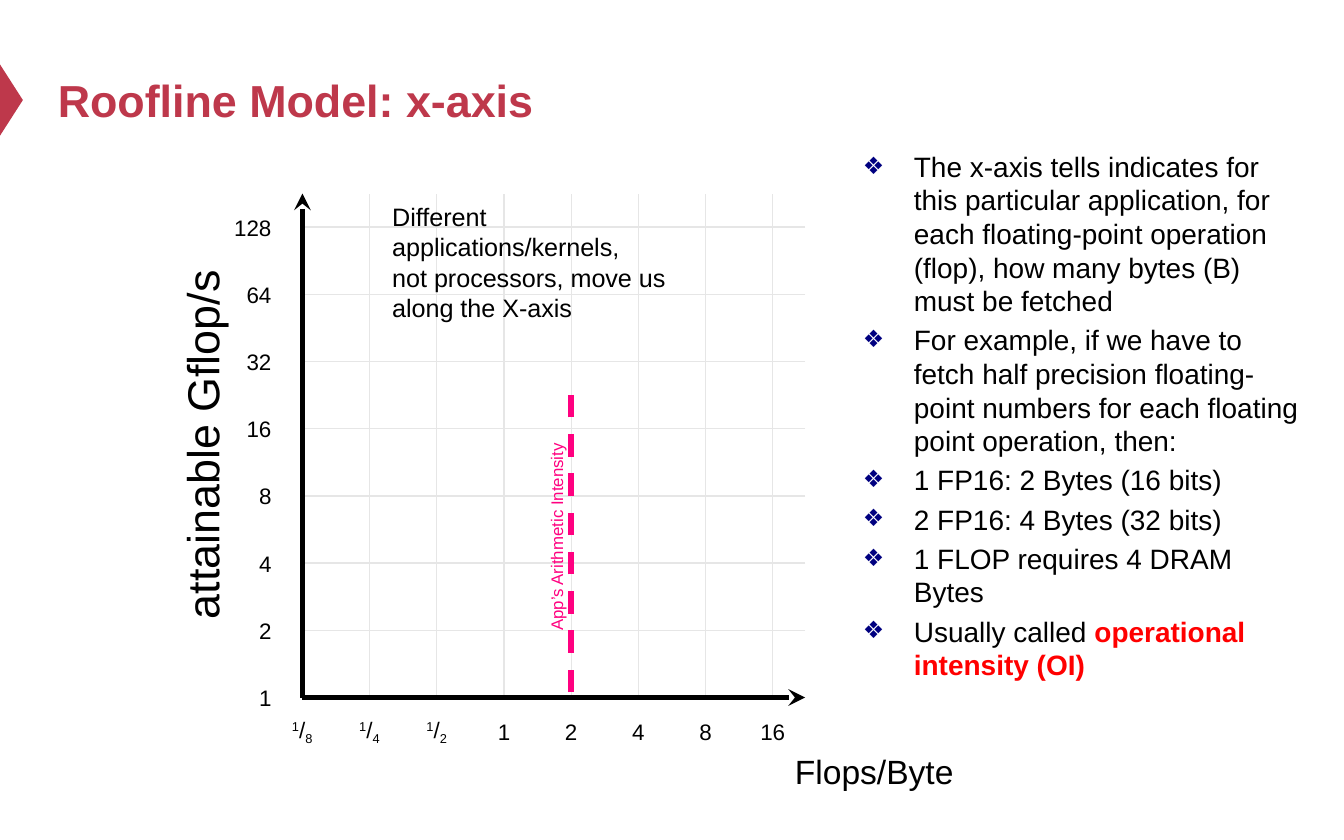
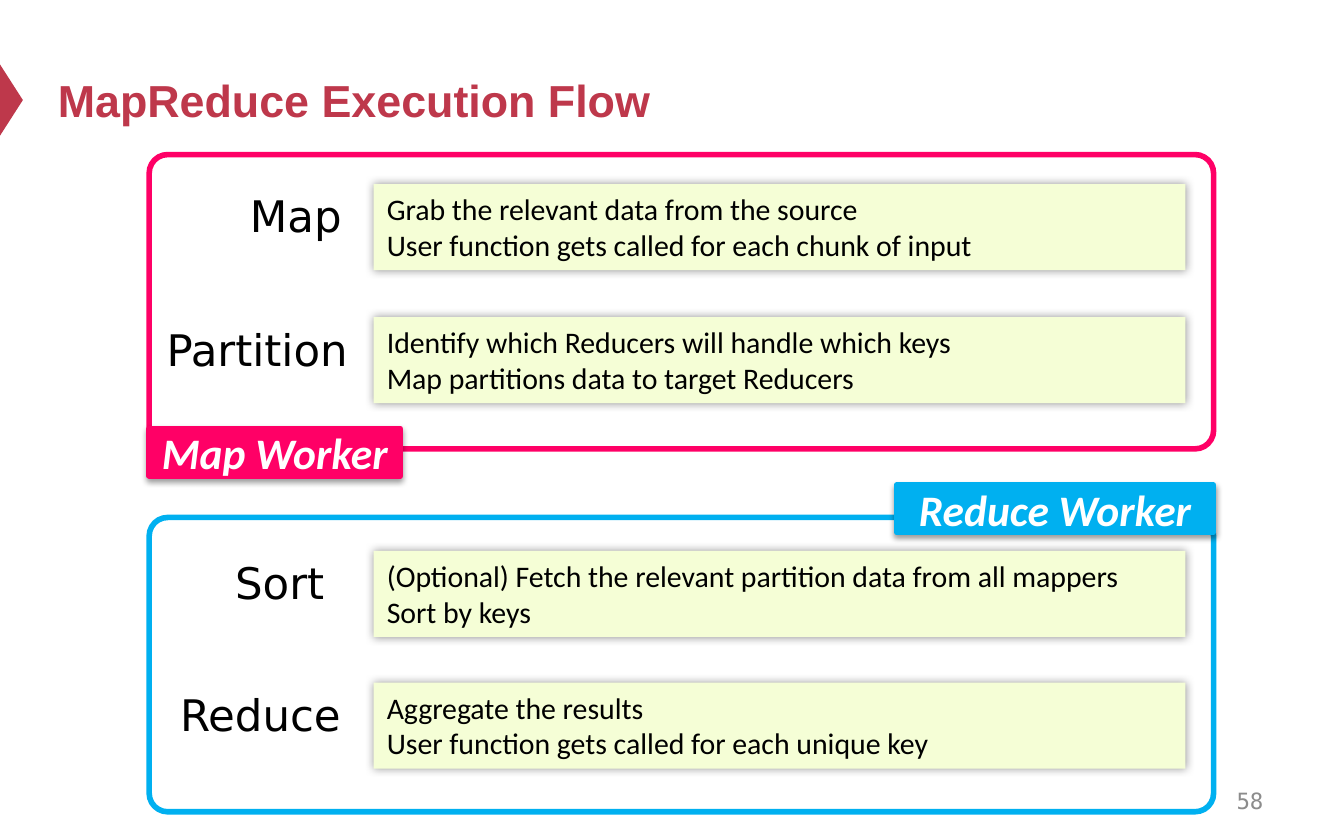
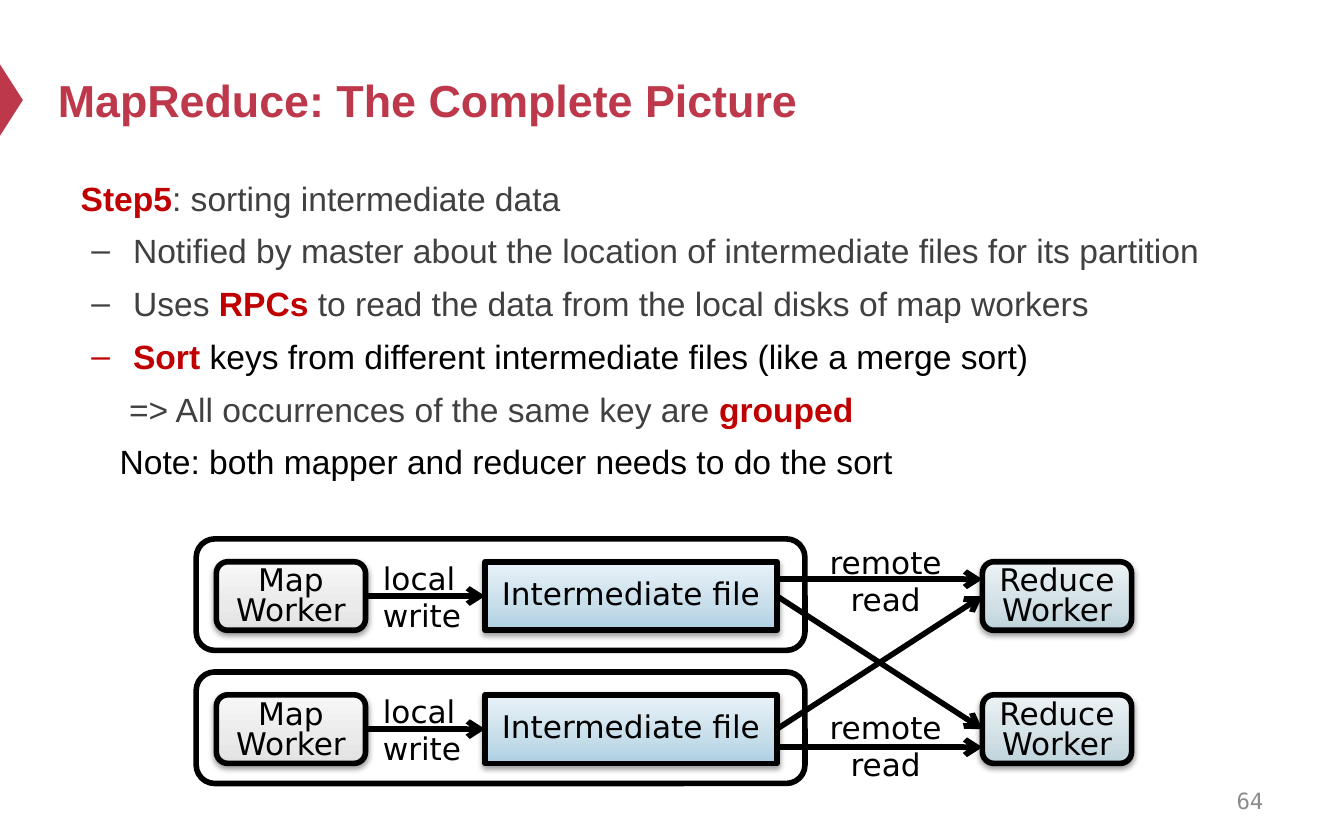
from pptx import Presentation
from pptx import oxml
from pptx import util as u
from pptx.dml.color import RGBColor
from pptx.enum import dml, shapes, text
from pptx.oxml import ns

CRIMSON, BLACK, WHITE = "BE384B", "000000", "FFFFFF"
GRID, MAGENTA, NAVY, RED = "E6E6E6", "FF0080", "000080", "FF0000"
PINK, SKY, CREAM, PAGE_GREY = "FF0066", "00B0F0", "F5FED6", "8C8C8C"
DARK_RED, DARK_GREY = "C00000", "404040"
FILE_STOPS = ("ADD0E3", "C6DDEA", "E9F2F8")
MAP_STOPS = ("E2E2E2", "EAEAEA", "F7F7F7")
REDUCE_STOPS = ("BDD3DB", "D1DFE5", "EDF3F5")
DROP_SHADOW = (38, 3.1, 1.6, 90)
GLOW_SHADOW = (40, 5, 0, 0)
NO_INSETS = (0, 0, 0, 0)
NARROW_INSETS = (0.08, 0.04, 0.08, 0.04)
SANS = "DejaVu Sans"
LEFT, CENTER, RIGHT = text.PP_ALIGN.LEFT, text.PP_ALIGN.CENTER, text.PP_ALIGN.RIGHT
TOP, MIDDLE = text.MSO_ANCHOR.TOP, text.MSO_ANCHOR.MIDDLE
RECT, ROUND = shapes.MSO_SHAPE.RECTANGLE, shapes.MSO_SHAPE.ROUNDED_RECTANGLE


def rgb(value):
    return RGBColor.from_string(value)


def lengths(*values):
    return [u.Inches(value) for value in values]


def xml(tag, content="", **attributes):
    listed = " ".join(f'{key}="{value}"' for key, value in attributes.items())
    return oxml.parse_xml(f'<a:{tag} {ns.nsdecls("a")} {listed}>{content}</a:{tag}>')


def write(holder, *paragraphs, size, color=BLACK, font="Arial", bold=False, italic=False,
          align=LEFT, anchor=TOP, insets=(0.1, 0.05, 0.1, 0.05), wrap=True, grow=False,
          spacing=None, before=0):
    frame = holder.text_frame
    frame.word_wrap = wrap
    frame.auto_size = text.MSO_AUTO_SIZE.SHAPE_TO_FIT_TEXT if grow else text.MSO_AUTO_SIZE.NONE
    frame.vertical_anchor = anchor
    (frame.margin_left, frame.margin_top,
     frame.margin_right, frame.margin_bottom) = lengths(*insets)
    for index, content in enumerate(paragraphs):
        paragraph = frame.add_paragraph() if index else frame.paragraphs[0]
        paragraph.alignment = align
        paragraph.space_before = u.Pt(before if index else 0)
        if spacing:
            paragraph.line_spacing = spacing
        for words, change in [(content, {})] if isinstance(content, str) else content:
            for row, part in enumerate(words.split("\n")):
                if row:
                    paragraph.add_line_break()
                run = paragraph.add_run()
                run.text = part
                run.font.name = font
                run.font.size = u.Pt(size)
                run.font.bold = change.get("bold", bold)
                run.font.italic = italic
                run.font.color.rgb = rgb(change.get("color", color))
                if "baseline" in change:
                    run._r.get_or_add_rPr().set("baseline", str(change["baseline"] * 1000))
    return holder


def indent(paragraph, left, first=0, bullet=None, color=None, scale=None):
    properties = paragraph._p.get_or_add_pPr()
    properties.set("marL", str(u.Inches(left)))
    properties.set("indent", str(u.Inches(first)))
    if color:
        properties.append(xml("buClr", f'<a:srgbClr val="{color}"/>'))
    if scale:
        properties.append(xml("buSzPct", val=scale * 1000))
    properties.append(xml("buChar", char=bullet) if bullet else xml("buNone"))


def place(holder, left, top, width, height):
    holder.left, holder.top, holder.width, holder.height = lengths(left, top, width, height)
    return holder


def add_label(canvas, at, *paragraphs, turn=0, **style):
    label = canvas.add_textbox(*lengths(*at))
    label.rotation = turn
    return write(label, *paragraphs, **style)


def add_box(canvas, kind, at, fill=None, line=None, shadow=None, corner=None):
    box = canvas.add_shape(kind, *lengths(*at))
    box.shadow.inherit = False
    properties = box.element.spPr
    if fill is None:
        box.fill.background()
    else:
        box.fill.solid()
        if isinstance(fill, str):
            box.fill.fore_color.rgb = rgb(fill)
        else:
            stops = "".join(f'<a:gs pos="{spot}000"><a:srgbClr val="{shade}"/></a:gs>'
                            for spot, shade in zip((0, 35, 100), fill))
            gradient = xml("gradFill", f'<a:gsLst>{stops}</a:gsLst><a:lin ang="16200000" scaled="0"/>')
            properties.replace(properties.find(ns.qn("a:solidFill")), gradient)
    if line:
        box.line.color.rgb = rgb(line)
        box.line.width = u.Pt(3)
    else:
        box.line.fill.background()
    if shadow:
        alpha, blur, distance, angle = shadow
        properties.find(ns.qn("a:effectLst")).append(xml(
            "outerShdw", f'<a:srgbClr val="{BLACK}"><a:alpha val="{alpha}000"/></a:srgbClr>',
            blurRad=u.Pt(blur), dist=u.Pt(distance), dir=angle * 60000, rotWithShape=0))
    if corner is not None:
        box.adjustments[0] = corner
    return box


def add_line(canvas, start, end, color=BLACK, width=3, head=None, dash=None):
    line = canvas.add_connector(shapes.MSO_CONNECTOR.STRAIGHT, *lengths(*start, *end))
    line.line.color.rgb = rgb(color)
    line.line.width = u.Pt(width)
    if dash:
        line.line.dash_style = dash
    if head:
        line.line._get_or_add_ln().append(xml("tailEnd", type=head))
    line.element.spPr.append(xml("effectLst"))
    return line


def join(canvas, source, target):
    arrow = add_line(canvas, (0, 0), (1, 1), head="arrow")
    arrow.begin_connect(source, 3)
    arrow.end_connect(target, 1)


def add_marker(prs, slide):
    marker = add_box(slide.shapes, shapes.MSO_SHAPE.ISOSCELES_TRIANGLE,
                     (-0.18, 0.66, 0.53, 0.17), fill=CRIMSON)
    marker.rotation = 90
    marker.element.nvSpPr.cNvPr.set("id", "20")
    prs.slide_master.shapes.element.append(marker.element)


def add_slide(prs, title, layout, page=None):
    slide = prs.slides.add_slide(prs.slide_layouts[layout])
    write(place(slide.shapes.title, 0.33, 0.25, 9, 0.98), title,
          size=24, color=CRIMSON, bold=True, anchor=MIDDLE)
    if page:
        add_label(slide.shapes, (7.17, 5.79, 2.33, 0.33), page, size=12,
                  font="DejaVu Sans Mono", color=PAGE_GREY, align=RIGHT, anchor=MIDDLE)
    return slide


def fraction(denominator):
    return [("1", {"baseline": 30}), ("/", {}), (denominator, {"baseline": -25})]


def build_roofline(prs):
    slide = add_slide(prs, "Roofline Model: x-axis", 1)
    add_marker(prs, slide)
    canvas = slide.shapes
    left, right, top, bottom, step = 2.25, 5.99, 1.44, 5.19, 0.5
    for index in range(1, 8):
        offset = index * step
        add_line(canvas, (left + offset, bottom), (left + offset, top), GRID, 0.75)
        add_line(canvas, (right, bottom - offset), (left, bottom - offset), GRID, 0.75)
    add_line(canvas, (left, bottom), (right, bottom), head="stealth")
    add_line(canvas, (left, bottom), (left, top), head="stealth")

    plain = dict(anchor=MIDDLE, insets=NO_INSETS)
    intensities = [fraction("8"), fraction("4"), fraction("2"), "1", "2", "4", "8", "16"]
    for index, intensity in enumerate(intensities):
        add_label(canvas, (2 + index * step, bottom, 0.5, 0.5), intensity,
                  size=12, align=CENTER, **plain)
        add_label(canvas, (1.27, 4.94 - index * step, 0.75, 0.5), str(2 ** index),
                  size=12, align=RIGHT, **plain)
    add_label(canvas, (4.88, 5.61, 3.25, 0.25), "Flops/Byte", size=18, align=CENTER, **plain)
    add_label(canvas, (-0.37, 3.06, 3.74, 0.5), "attainable Gflop/s", turn=270,
              size=24, align=CENTER, **plain)
    add_label(canvas, (2.82, 1.45, 2.42, 1.01), "Different applications/kernels,",
              "not processors, move us along the X-axis", size=13.5, grow=True)

    intensity_mark = canvas.add_group_shape().shapes
    add_line(intensity_mark, (4.25, 5.15), (4.25, 2.84), MAGENTA, dash=dml.MSO_LINE.DASH)
    add_label(intensity_mark, (2.98, 3.9, 2.32, 0.19), "App’s Arithmetic Intensity", turn=270,
              size=9, color=MAGENTA, align=CENTER, wrap=False, **plain)

    notes = write(
        place(slide.placeholders[1], 6.35, 1.07, 3.46, 4.13),
        "The x-axis tells indicates for this particular application, for each "
        "floating-point operation (flop), how many bytes (B) must be fetched",
        "For example, if we have to fetch half precision floating-point numbers "
        "for each floating point operation, then:",
        "1 FP16: 2 Bytes (16 bits)",
        "2 FP16: 4 Bytes (32 bits)",
        "1 FLOP requires 4 DRAM Bytes",
        [("Usually called ", {}), ("operational intensity (OI)", {"color": RED, "bold": True})],
        size=15, before=3, insets=(0.07, 0.04, 0.07, 0.04))
    for paragraph in notes.text_frame.paragraphs:
        indent(paragraph, 0.38, -0.38, "❖", NAVY, 85)


def add_stage(slide, top, name, margin, *details):
    canvas = slide.shapes.add_group_shape().shapes
    label = add_label(canvas, (1.11, top, 7.71, 0.76), name, size=23.3, font=SANS,
                      insets=NARROW_INSETS)
    indent(label.text_frame.paragraphs[0], margin)
    write(add_box(canvas, RECT, (2.78, top, 6.04, 0.64), CREAM, shadow=GLOW_SHADOW),
          *details, size=16, font="Calibri", grow=True)


def add_worker_frame(canvas, top, color, name, tag_at):
    add_box(canvas, ROUND, (1.11, top, 7.92, 2.19), line=color, corner=0.063)
    write(add_box(canvas, RECT, tag_at, color, color, DROP_SHADOW), name, size=23.3,
          font="Calibri", color=WHITE, bold=True, italic=True,
          align=CENTER, anchor=MIDDLE, wrap=False)


def build_execution_flow(prs):
    slide = add_slide(prs, "MapReduce Execution Flow", 5, "58")
    add_worker_frame(slide.shapes, 1.15, PINK, "Map Worker", (1.11, 3.19, 1.87, 0.35))
    add_worker_frame(slide.shapes, 3.85, SKY, "Reduce Worker", (6.67, 3.61, 2.36, 0.35))
    add_stage(slide, 1.37, "Map", 0.67, "Grab the relevant data from the source",
              "User function gets called for each chunk of input")
    add_stage(slide, 2.36, "Partition", 0.05, "Identify which Reducers will handle which keys",
              "Map partitions data to target Reducers")
    add_stage(slide, 4.1, "Sort", 0.56,
              "(Optional) Fetch the relevant partition data from all mappers", "Sort by keys")
    add_stage(slide, 5.08, "Reduce", 0.15, "Aggregate the results",
              "User function gets called for each unique key")


def add_node(canvas, kind, at, name, stops, **style):
    node = add_box(canvas, kind, at, stops, BLACK, DROP_SHADOW)
    return write(node, name, size=16.7, font=SANS, align=CENTER, anchor=MIDDLE,
                 spacing=0.8, **style)


def add_worker(canvas, left, top, name, stops):
    return add_node(canvas, ROUND, (left, top, 1.11, 0.51), name, stops,
                    insets=(0.08, 0.03, 0.08, 0), wrap=False)


def build_complete_picture(prs):
    slide = add_slide(prs, "MapReduce: The Complete Picture", 1, "64")
    canvas = slide.shapes
    strong, black = {"color": DARK_RED, "bold": True}, {"color": BLACK}
    steps = write(
        place(slide.placeholders[1], 0.5, 1.24, 9, 2.47),
        [("Step5", strong), (": sorting intermediate data", {})],
        "Notified by master about the location of intermediate files for its partition",
        [("Uses ", {}), ("RPCs", strong),
         (" to read the data from the local disks of map workers", {})],
        [("Sort", strong), (" keys from different intermediate files (like a merge sort)", black)],
        [("=> All occurrences of the same key are ", {}), ("grouped", strong)],
        [("Note: both mapper and reducer needs to do the sort", black)],
        size=18, color=DARK_GREY, spacing=1.1, before=4.5)
    dash = (0.39, -0.31, "–")
    layout = [(0,), dash, dash, dash, (0.36,), (0.29,)]
    for index, (paragraph, settings) in enumerate(zip(steps.text_frame.paragraphs, layout)):
        paragraph.level = min(index, 1)
        indent(paragraph, *settings)

    files, reducers = [], []
    for top, read_top in ((4.18, 3.99), (5.17, 5.22)):
        add_box(canvas, ROUND, (1.46, top - 0.17, 4.53, 0.83), line=BLACK)
        mapper = add_worker(canvas, 1.61, top, "Map\nWorker", MAP_STOPS)
        files.append(add_node(canvas, RECT, (3.61, top, 2.17, 0.51),
                              "Intermediate file", FILE_STOPS))
        reducers.append(add_worker(canvas, 7.31, top, "Reduce\nWorker", REDUCE_STOPS))
        join(canvas, mapper, files[-1])
        caption = dict(size=16.7, font=SANS, wrap=False, grow=True)
        add_label(canvas, (2.75, top - 0.07, 0.79, 0.66), "local\nwrite", **caption)
        add_label(canvas, (6.07, read_top, 1.04, 0.66), "remote\nread", align=CENTER, **caption)
    for height in (4.31, 5.56):
        add_line(canvas, (5.78, height), (7.31, height), head="arrow")
    for source, target in zip(files, reversed(reducers)):
        join(canvas, source, target)


def main():
    prs = Presentation()
    prs.slide_width, prs.slide_height = lengths(10, 6.25)
    build_roofline(prs)
    build_execution_flow(prs)
    build_complete_picture(prs)
    prs.save("out.pptx")


if __name__ == "__main__":
    main()
